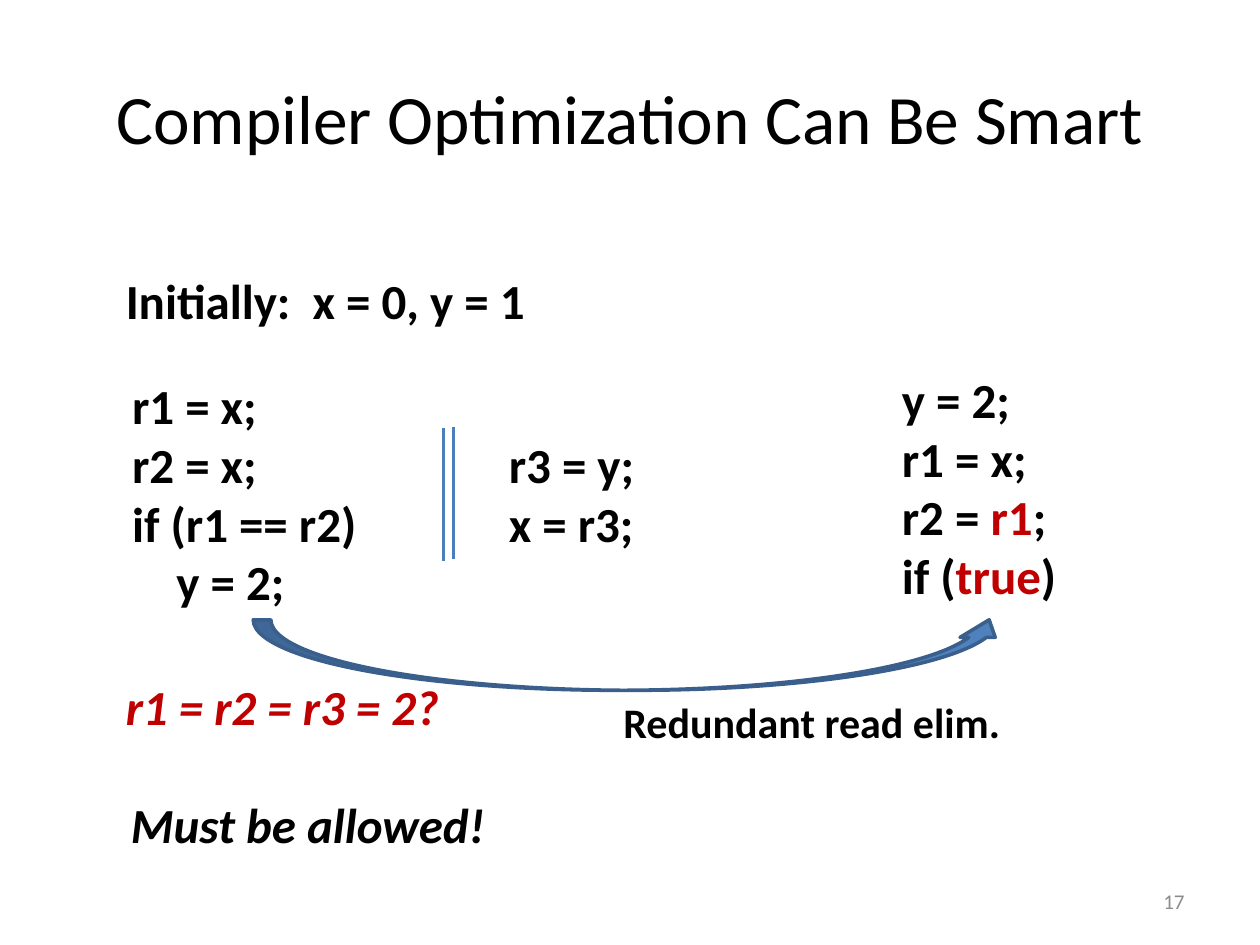
from dataclasses import dataclass

from lxml import etree
from pptx import Presentation
from pptx.dml.color import RGBColor
from pptx.enum.shapes import MSO_CONNECTOR, MSO_SHAPE
from pptx.enum.text import MSO_ANCHOR, PP_ALIGN
from pptx.oxml.ns import qn
from pptx.util import Pt

BLACK = RGBColor(0x00, 0x00, 0x00)
RED = RGBColor(0xC0, 0x00, 0x00)
GRAY = RGBColor(0x8C, 0x8C, 0x8C)
BLUE = RGBColor(0x4F, 0x81, 0xBD)
NAVY = RGBColor(0x3A, 0x5F, 0x8C)
STEEL = RGBColor(0x4B, 0x7E, 0xBC)

LEFT, CENTER, RIGHT = PP_ALIGN.LEFT, PP_ALIGN.CENTER, PP_ALIGN.RIGHT
TOP, MIDDLE = MSO_ANCHOR.TOP, MSO_ANCHOR.MIDDLE
STRAIGHT = MSO_CONNECTOR.STRAIGHT
CURVED = MSO_SHAPE.CURVED_UP_ARROW

FONT = "Calibri"
MARK = "|"  # text between two marks is red
TAB = "\t"  # a leading tab indents the line
INDENT = 25.3


@dataclass
class Label:
    lines: list[str]
    left: float
    top: float
    width: float
    height: float
    size: float = 28
    color: RGBColor = BLACK
    bold: bool = True
    italic: bool = False
    align: PP_ALIGN = LEFT
    anchor: MSO_ANCHOR = TOP


@dataclass
class Bar:
    x: float
    top: float
    height: float = 75.6


LABELS = [
    # Title
    Label(["Compiler Optimization Can Be Smart"], 36, 21.6, 648, 90,
          size=39.6, bold=False, align=CENTER, anchor=MIDDLE),
    # Two threads, then the optimized first thread
    Label(["r1 = x;", "r2 = x;", "if (r1 == r2)", TAB + "y = 2;"],
          68.4, 211, 185, 143.3),
    Label(["r3 = y;", "x = r3;"], 283.7, 244.8, 100, 74.9),
    Label(["y = 2;", "r1 = x;", "r2 = |r1|;", "if (|true|)"],
          508.3, 207.4, 133.9, 143.3),
    # Start state, question and answer
    Label(["Initially:  x = 0, y = 1"], 64.8, 151.2, 290.9, 41),
    Label(["r1 = r2 = r3 = 2?"], 64.8, 383, 218.9, 41,
          color=RED, italic=True),
    Label(["Must be allowed!"], 67.7, 450.7, 265.7, 41, italic=True),
    # Arrow caption
    Label(["Redundant read elim."], 349.2, 394.6, 249.1, 36, size=24),
    # Slide number
    Label(["17"], 516.2, 500.4, 167.8, 28.8, size=12, color=GRAY,
          bold=False, align=RIGHT, anchor=MIDDLE),
]

BARS = [Bar(253.4, 244.8), Bar(259.2, 244.1)]


def draw_label(slide, label: Label) -> None:
    box = slide.shapes.add_textbox(Pt(label.left), Pt(label.top),
                                   Pt(label.width), Pt(label.height))
    frame = box.text_frame
    frame.word_wrap = True
    frame.vertical_anchor = label.anchor
    for i, line in enumerate(label.lines):
        para = frame.paragraphs[0] if i == 0 else frame.add_paragraph()
        para.alignment = label.align
        if line.startswith(TAB):
            para._p.get_or_add_pPr().set("marL", str(Pt(INDENT)))
        for j, part in enumerate(line.strip(TAB).split(MARK)):
            run = para.add_run()
            run.text = part
            font = run.font
            font.name = FONT
            font.size = Pt(label.size)
            font.bold = label.bold
            font.italic = label.italic
            font.color.rgb = RED if j % 2 else label.color


def draw_bar(slide, bar: Bar) -> None:
    line = slide.shapes.add_connector(STRAIGHT, Pt(bar.x), Pt(bar.top),
                                      Pt(bar.x), Pt(bar.top + bar.height))
    line.line.color.rgb = STEEL
    line.line.width = Pt(2)
    etree.SubElement(line._element.spPr, qn("a:effectLst"))


def draw_arrow(slide) -> None:
    arrow = slide.shapes.add_shape(CURVED, Pt(144.7), Pt(354.2),
                                   Pt(430.6), Pt(40.3))
    arrow.shadow.inherit = False
    arrow.fill.solid()
    arrow.fill.fore_color.rgb = BLUE
    arrow.line.color.rgb = NAVY
    arrow.line.width = Pt(2)


def main() -> None:
    deck = Presentation()
    deck.slide_width, deck.slide_height = Pt(720), Pt(540)
    slide = deck.slides.add_slide(deck.slide_layouts[6])
    for bar in BARS:
        draw_bar(slide, bar)
    draw_arrow(slide)
    for label in LABELS:
        draw_label(slide, label)
    deck.save("out.pptx")


if __name__ == "__main__":
    main()
